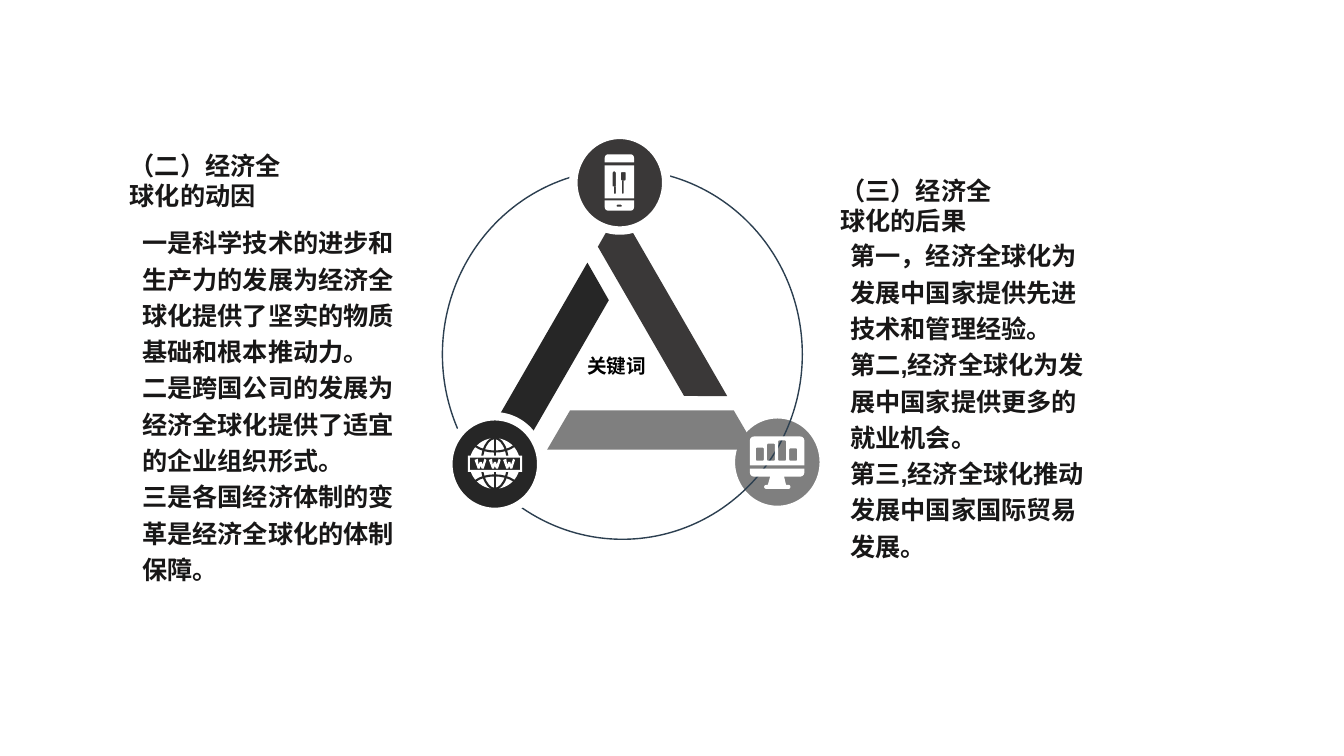
from dataclasses import dataclass
from math import cos, pi, sin

from pptx import Presentation
from pptx.dml.color import RGBColor
from pptx.enum.shapes import MSO_SHAPE
from pptx.enum.text import MSO_ANCHOR, PP_ALIGN
from pptx.util import Cm, Pt

OVAL, TRAPEZOID = MSO_SHAPE.OVAL, MSO_SHAPE.TRAPEZOID
TOP, MIDDLE = MSO_ANCHOR.TOP, MSO_ANCHOR.MIDDLE
LEFT, CENTER = PP_ALIGN.LEFT, PP_ALIGN.CENTER

FONT = "Arial"
WHITE, BLACK, INK, NAVY = "FFFFFF", "000000", "181717", "2C3F50"
GREY, CHARCOAL, DARK = "7F7F7F", "3A3838", "262626"

Point = tuple[float, float]
Contour = list[Point]


@dataclass
class Figure:
    kind: int
    x: float
    y: float
    w: float
    h: float
    fill: str | None = None
    line: str | None = None
    weight: float = 0
    rotation: float = 0


@dataclass
class TextBlock:
    x: float
    y: float
    w: float
    h: float
    lines: list[str]
    size: float = 18
    color: str = INK
    spacing: float | None = None
    wrap: bool = False
    align: int = LEFT
    anchor: int = TOP


def disc(x: float, y: float, fill: str) -> Figure:
    return Figure(OVAL, x, y, 2.34, 2.41, fill, WHITE, 6)


GREY_DISC = disc(18.42, 10.44, GREY)
TRIANGLE = [
    Figure(OVAL, 11.15, 4.27, 9.07, 9.32, line=NAVY, weight=1),
    Figure(TRAPEZOID, 13.84, 7.39, 5.44, 0.94, CHARCOAL, rotation=240),
    Figure(TRAPEZOID, 13.79, 10.34, 5.28, 0.99, GREY),
    Figure(TRAPEZOID, 11.13, 8.74, 5.44, 0.94, DARK, rotation=120),
    disc(14.45, 3.4, CHARCOAL),
    disc(11.3, 10.49, DARK),
]

TEXTS = [
    TextBlock(12.85, 8.15, 5.38, 2.13, ["关键词"], 14, BLACK,
              align=CENTER, anchor=MIDDLE),
    TextBlock(21.18, 5.79, 6.58, 5.92, [
        "第一，经济全球化为发展中国家提供先进技术和管理经验。",
        "第二,经济全球化为发展中国家提供更多的就业机会。",
        "第三,经济全球化推动发展中国家国际贸易发展。",
    ], spacing=1.2, wrap=True),
    TextBlock(20.93, 4.29, 4.52, 1.14, ["（三）经济全球化的后果"]),
    TextBlock(3.33, 5.46, 7.34, 6.96, [
        "一是科学技术的进步和生产力的发展为经济全球化提供了坚实的物质基础和根本推动力。",
        "二是跨国公司的发展为经济全球化提供了适宜的企业组织形式。",
        "三是各国经济体制的变革是经济全球化的体制保障。",
    ], spacing=1.2, wrap=True),
    TextBlock(3.02, 3.66, 4.52, 1.14, ["（二）经济全球化的动因"]),
]

LETTER_W = [(0.08, 0), (0.1, 0.15), (0.13, 0.08), (0.18, 0.08), (0.2, 0.15),
            (0.25, 0), (0.3, 0.03), (0.23, 0.25), (0.18, 0.25), (0.15, 0.18),
            (0.13, 0.25), (0.08, 0.25), (0, 0.03)]
BAR_TOPS = [11.28, 11.18, 11.1, 11.3]
BAR_BASE = 11.61


def rgb(color: str) -> RGBColor:
    return RGBColor.from_string(color)


def arc(cx: float, cy: float, rx: float, ry: float,
        start: float, end: float, steps: int = 6) -> Contour:
    """Points on an ellipse between two angles, in degrees clockwise."""
    angles = [(start + (end - start) * i / steps) * pi / 180
              for i in range(steps + 1)]
    return [(cx + rx * cos(a), cy + ry * sin(a)) for a in angles]


def box(x: float, y: float, w: float, h: float,
        top: float = 0, bottom: float = 0) -> Contour:
    """Rectangle with separate radii for its top and bottom corners."""
    right, base = x + w, y + h
    return (arc(x + top, y + top, top, top, 180, 270)
            + arc(right - top, y + top, top, top, 270, 360)
            + arc(right - bottom, base - bottom, bottom, bottom, 0, 90)
            + arc(x + bottom, base - bottom, bottom, bottom, 90, 180))


def paint(sp, fill: str | None, line: str | None, weight: float) -> None:
    sp.shadow.inherit = False
    if fill:
        sp.fill.solid()
        sp.fill.fore_color.rgb = rgb(fill)
    else:
        sp.fill.background()
    if line:
        sp.line.color.rgb = rgb(line)
        sp.line.width = Pt(weight)
    else:
        sp.line.fill.background()


def add_figure(s, f: Figure) -> None:
    sp = s.shapes.add_shape(f.kind, Cm(f.x), Cm(f.y), Cm(f.w), Cm(f.h))
    if f.kind == TRAPEZOID:
        sp.adjustments[0] = 0.584
    sp.rotation = f.rotation
    paint(sp, f.fill, f.line, f.weight)


def add_outline(s, contours: list[Contour], fill: str | None = WHITE,
                line: str | None = None, weight: float = 0) -> None:
    """One freeform; contours inside another one become holes."""
    paths = [[(Cm(x), Cm(y)) for x, y in c] for c in contours]
    builder = s.shapes.build_freeform(*paths[0][0], scale=1.0)
    for i, points in enumerate(paths):
        if i:
            builder.move_to(*points[0])
        builder.add_line_segments(points[1:], close=fill is not None)
    paint(builder.convert_to_shape(), fill, line, weight)


def add_phone(s) -> None:
    x, w = 15.24, 0.74
    knife = [box(15.44, 4.32, 0.08, 0.38, 0.04), box(15.47, 4.7, 0.05, 0.18)]
    fork = [box(15.65, 4.34, 0.12, 0.21, 0.02, 0.03),
            box(15.67, 4.55, 0.05, 0.33, 0, 0.02)]
    add_outline(s, [box(x, 3.89, w, 0.2, 0.09), box(x, 4.17, w, 0.83),
                    box(x, 5.05, w, 0.26, 0, 0.09),
                    box(15.54, 5.16, 0.13, 0.05, 0.02, 0.02), *knife, *fork])


def add_globe(s) -> None:
    cx, cy, r = 12.47, 11.68, 0.64
    add_figure(s, Figure(OVAL, cx - r, cy - r, 2 * r, 2 * r, WHITE))
    add_figure(s, Figure(OVAL, cx - 0.33, cy - r, 0.66, 2 * r,
                         line=DARK, weight=1.5))
    parallels = [arc(cx, cy - 0.64, 0.6, 0.34, 170, 10, 12),
                 arc(cx, cy + 0.64, 0.6, 0.34, 190, 350, 12)]
    axis = [(cx, cy - r), (cx, cy + r)]
    add_outline(s, [*parallels, axis], None, DARK, 1.5)
    add_figure(s, Figure(MSO_SHAPE.RECTANGLE, 11.82, 11.51, 1.3, 0.34, DARK))
    letters = [[(11.96 + 0.36 * i + x, 11.56 + y) for x, y in LETTER_W]
               for i in range(3)]
    add_outline(s, [box(11.79, 11.48, 1.37, 0.41),
                    box(11.84, 11.53, 1.27, 0.31), *letters])


def add_monitor(s) -> None:
    bars = [box(19.05 + 0.28 * i, top, 0.2, BAR_BASE - top, 0.03, 0.03)
            for i, top in enumerate(BAR_TOPS)]
    stand = [(19.41, 12.01), (19.76, 12.01), (19.81, 12.22), (19.35, 12.22)]
    add_outline(s, [box(18.9, 11, 1.37, 0.73, 0.1),
                    box(18.9, 11.81, 1.37, 0.2, 0, 0.1), stand,
                    box(19.26, 12.22, 0.66, 0.1, 0.05, 0.05), *bars])


def add_text(s, t: TextBlock) -> None:
    tf = s.shapes.add_textbox(Cm(t.x), Cm(t.y), Cm(t.w), Cm(t.h)).text_frame
    tf.word_wrap = t.wrap
    tf.vertical_anchor = t.anchor
    for i, line in enumerate(t.lines):
        p = tf.add_paragraph() if i else tf.paragraphs[0]
        p.alignment = t.align
        p.line_spacing = t.spacing
        r = p.add_run()
        r.text = line
        r.font.name = FONT
        r.font.size = Pt(t.size)
        r.font.bold = True
        r.font.color.rgb = rgb(t.color)


def main() -> None:
    prs = Presentation()
    prs.slide_width, prs.slide_height = Cm(33.87), Cm(19.05)
    s = prs.slides.add_slide(prs.slide_layouts[6])
    for figure in [GREY_DISC, *TRIANGLE]:
        add_figure(s, figure)
    add_phone(s)
    add_globe(s)
    add_monitor(s)
    for block in TEXTS:
        add_text(s, block)
    prs.save("out.pptx")


if __name__ == "__main__":
    main()
